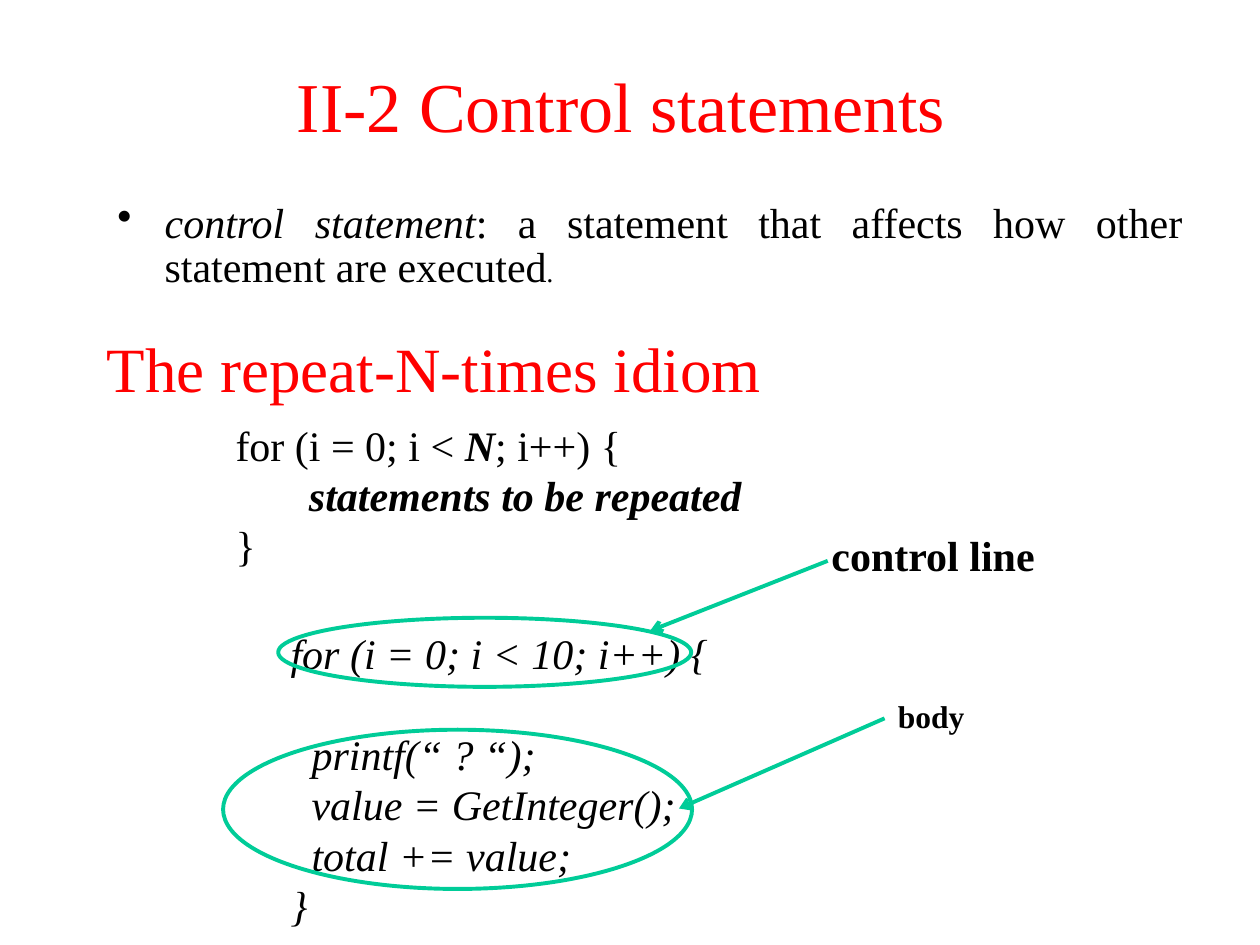
from pptx import Presentation
from pptx.dml.color import RGBColor
from pptx.enum.shapes import MSO_CONNECTOR, MSO_SHAPE
from pptx.enum.text import PP_ALIGN
from pptx.oxml.ns import qn
from pptx.util import Pt
from lxml.etree import SubElement

RED = RGBColor(0xFF, 0x00, 0x00)
BLACK = RGBColor(0x00, 0x00, 0x00)
GREEN = RGBColor(0x00, 0xCC, 0x98)
FONT = "Times New Roman"
LINE_WIDTH = Pt(2.25)
LEADING = 1.2


def add_text(page, box, lines, size, color=BLACK, bold=None, italic=None, wrap=True):
    """Each line is a list of (text, bold, italic) spans or a plain string."""
    frame = page.shapes.add_textbox(*map(Pt, box)).text_frame
    frame.word_wrap = wrap
    for index, line in enumerate(lines):
        para = frame.add_paragraph() if index else frame.paragraphs[0]
        para.line_spacing = Pt(size * LEADING)
        font = para.font
        font.name, font.size = FONT, Pt(size)
        font.color.rgb, font.bold, font.italic = color, bold, italic
        spans = [(line, None, None)] if isinstance(line, str) else line
        for text, span_bold, span_italic in spans:
            span = para.add_run()
            span.text = text
            span.font.bold, span.font.italic = span_bold, span_italic
    return frame.paragraphs


def add_ring(page, left, top, width, height):
    ring = page.shapes.add_shape(MSO_SHAPE.OVAL, Pt(left), Pt(top), Pt(width), Pt(height))
    ring.shadow.inherit = False
    ring.fill.background()
    ring.line.color.rgb, ring.line.width = GREEN, LINE_WIDTH


def add_arrow(page, start, end):
    arrow = page.shapes.add_connector(MSO_CONNECTOR.STRAIGHT, *map(Pt, start + end))
    arrow.line.color.rgb, arrow.line.width = GREEN, LINE_WIDTH
    properties = arrow.element.spPr
    SubElement(properties.find(qn("a:ln")), qn("a:tailEnd"), type="arrow")
    SubElement(properties, qn("a:effectLst"))


def add_title(page, box):
    para = add_text(page, box, ["II-2 Control statements"], 40, RED)[0]
    para.alignment = PP_ALIGN.CENTER


def add_definition(page, box):
    line = [
        ("control statement", None, True),
        (": a statement that affects how other statement are executed", None, None),
        (".", None, True),
    ]
    para = add_text(page, box, [line], 24)[0]
    para.alignment = PP_ALIGN.JUSTIFY
    para.line_spacing = 0.89
    para.runs[-1].font.size = Pt(16)
    # Hanging bullet, placed ahead of the paragraph's default font
    properties = para._p.get_or_add_pPr()
    properties.set("marL", str(Pt(27)))
    properties.set("indent", str(-Pt(27)))
    bullet = SubElement(properties, qn("a:buChar"), char="•")
    properties.find(qn("a:defRPr")).addprevious(bullet)


def add_idiom(page, box):
    left, top, width, height = box
    # Heading
    add_text(page, (left, top, width, 50), ["The repeat-N-times idiom"], 36, RED)
    # Pattern
    pattern = [
        [("for (i = 0; i < ", None, None), ("N", True, True), ("; i++) {", None, None)],
        [("       statements to be repeated", True, True)],
        "}",
    ]
    add_text(page, (left + 73.5, top + 51, 425.5, height - 51), pattern, 24)


def add_example(page, box):
    left, top, width, height = box
    # Code
    code = [
        "for (i = 0; i < 10; i++) {",
        "  printf(“ ? “);",
        "  value = GetInteger();",
        "  total += value;",
        "}",
    ]
    paras = add_text(page, (left + 31.5, top + 56, 360, height - 56), code, 24, italic=True)
    paras[1].space_before = Pt(24 * LEADING)
    # Control line
    add_text(page, (left + 340.5, top, 170, 36), ["control line"], 24, bold=True)
    add_ring(page, left + 31.5, top + 54, 236, 39.5)
    add_arrow(page, (left + 345.5, top + 21.5), (left + 244, top + 61.5))
    # Body
    add_text(page, (left + 378.5, top + 95.5, 53, 29), ["body"], 18, bold=True, wrap=False)
    add_ring(page, left, top + 118, 268, 91)
    add_arrow(page, (left + 378, top + 111.5), (left + 260.5, top + 163))


def main():
    deck = Presentation()
    deck.slide_width, deck.slide_height = Pt(720), Pt(540)
    page = deck.slides.add_slide(deck.slide_layouts[6])
    add_title(page, (0, 32, 710, 55))
    add_definition(page, (60, 112, 623, 56))
    add_idiom(page, (54, 185, 666, 145))
    add_example(page, (127.5, 299, 511, 236))
    deck.save("out.pptx")


if __name__ == "__main__":
    main()
